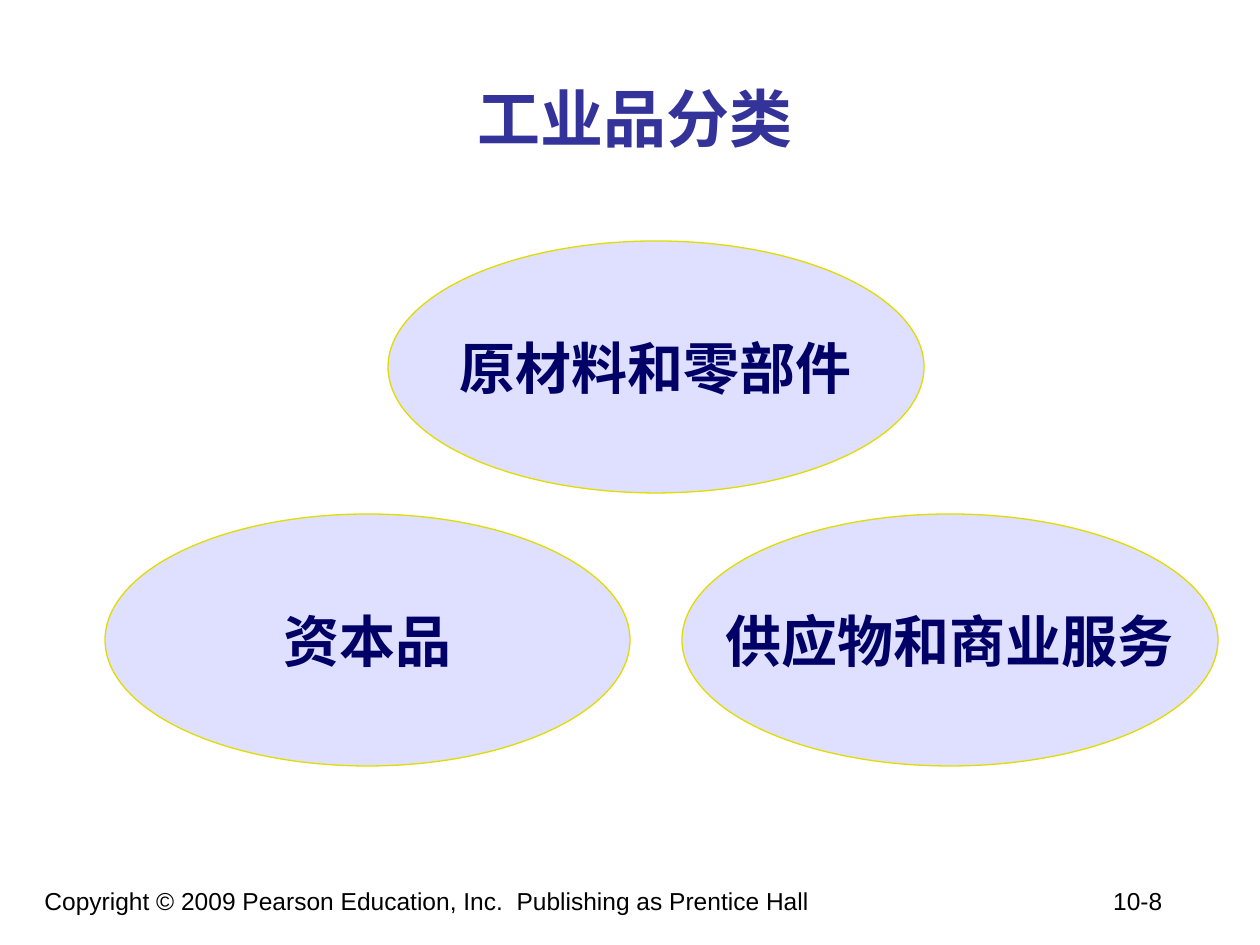
from lxml import etree
from pptx import Presentation
from pptx.dml.color import RGBColor
from pptx.enum.shapes import MSO_SHAPE as Shape
from pptx.enum.text import MSO_ANCHOR as Anchor, PP_ALIGN as Align
from pptx.oxml.ns import qn
from pptx.util import Emu, Pt

WHITE = RGBColor(0xFF, 0xFF, 0xFF)
BLACK = RGBColor(0x00, 0x00, 0x00)
INDIGO = RGBColor(0x33, 0x33, 0x99)
NAVY = RGBColor(0x00, 0x00, 0x66)
LAVENDER = RGBColor(0xDF, 0xDF, 0xFF)
YELLOW = RGBColor(0xE1, 0xDC, 0x00)

LATIN_FONT = "Arial"
CHINESE_FONT = "Noto Sans CJK SC"
PX_PER_INCH = 126


def px(length):
    return Emu(round(length * 914400 / PX_PER_INCH))


def write(frame, text, size, color, font=LATIN_FONT, bold=False,
          align=Align.LEFT, anchor=Anchor.TOP, wrap=True, right_tab=None):
    frame.word_wrap = wrap
    frame.vertical_anchor = anchor
    paragraph = frame.paragraphs[0]
    paragraph.alignment = align
    if right_tab:
        tabs = etree.SubElement(paragraph._p.get_or_add_pPr(), qn("a:tabLst"))
        etree.SubElement(tabs, qn("a:tab"), pos=str(px(right_tab)), algn="r")
    run = paragraph.add_run()
    run.text = text
    run.font.size = Pt(size)
    run.font.bold = bold
    run.font.color.rgb = color
    run.font.name = font
    etree.SubElement(run._r.get_or_add_rPr(), qn("a:ea"), typeface=CHINESE_FONT)


class SlideBuilder:
    def __init__(self, slide):
        self.slide = slide
        slide.background.fill.solid()
        slide.background.fill.fore_color.rgb = WHITE

    def text(self, left, top, width, height, text, **style):
        box = self.slide.shapes.add_textbox(px(left), px(top), px(width), px(height))
        write(box.text_frame, text, **style)

    def oval(self, left, top, width, height, text):
        oval = self.slide.shapes.add_shape(
            Shape.OVAL, px(left), px(top), px(width), px(height))
        oval.shadow.inherit = False
        oval.fill.solid()
        oval.fill.fore_color.rgb = LAVENDER
        oval.line.color.rgb = YELLOW
        oval.line.width = Pt(0.75)
        write(oval.text_frame, text, size=32, color=NAVY, bold=True,
              align=Align.CENTER, anchor=Anchor.MIDDLE, wrap=False)


def main():
    deck = Presentation()
    deck.slide_width, deck.slide_height = px(1260), px(945)
    builder = SlideBuilder(deck.slides.add_slide(deck.slide_layouts[6]))

    builder.text(32, 880, 1176, 65,
                 "Copyright © 2009 Pearson Education, Inc.  Publishing as Prentice Hall\t10-8",
                 size=14, color=BLACK, right_tab=1118)
    builder.text(105, 38, 1061, 158, "工业品分类", size=36, color=INDIGO,
                 font=CHINESE_FONT, bold=True, align=Align.CENTER, anchor=Anchor.MIDDLE)

    categories = [
        (388, 241, 536, "原材料和零部件"),
        (682, 514, 536, "供应物和商业服务"),
        (105, 514, 525, "资本品"),
    ]
    for left, top, width, category in categories:
        builder.oval(left, top, width, 252, category)

    deck.save("out.pptx")


if __name__ == "__main__":
    main()
